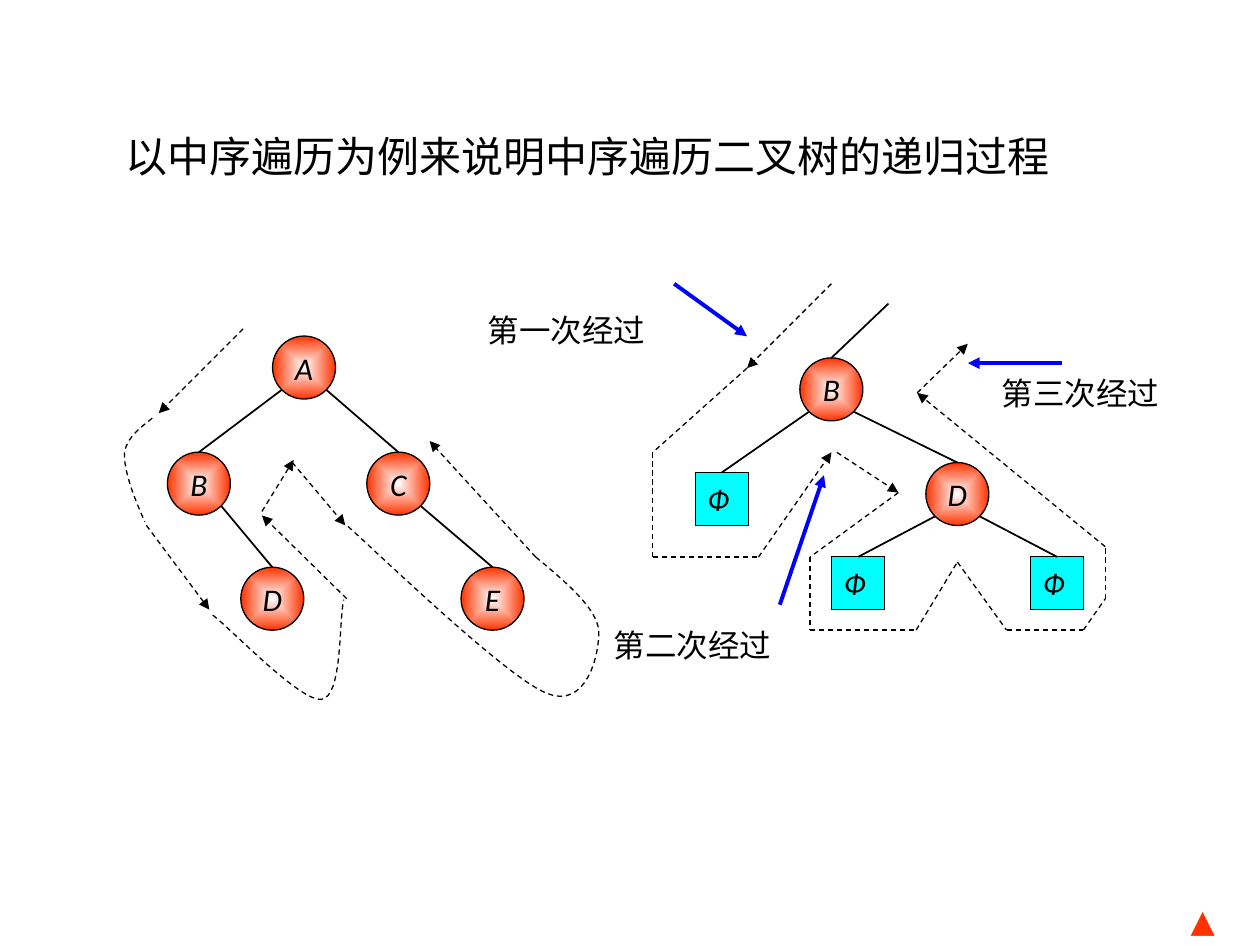
from dataclasses import dataclass
from itertools import pairwise
from math import sqrt

from lxml import etree
from pptx import Presentation
from pptx.dml.color import RGBColor
from pptx.enum.dml import MSO_LINE
from pptx.enum.shapes import MSO_CONNECTOR, MSO_SHAPE
from pptx.enum.text import MSO_ANCHOR, PP_ALIGN
from pptx.oxml.ns import qn
from pptx.util import Cm, Pt

STRAIGHT = MSO_CONNECTOR.STRAIGHT
OVAL = MSO_SHAPE.OVAL
RECTANGLE = MSO_SHAPE.RECTANGLE
DASH = MSO_LINE.DASH
MIDDLE = MSO_ANCHOR.MIDDLE
CENTER = PP_ALIGN.CENTER


@dataclass(frozen=True)
class Theme:
    """Colours, type sizes, line widths and node sizes."""

    font: str = "Calibri"
    title_size: int = 24
    text_size: int = 18
    ink: RGBColor = RGBColor(0, 0, 0)
    glow: RGBColor = RGBColor(255, 255, 255)
    red: RGBColor = RGBColor(255, 51, 0)
    cyan: RGBColor = RGBColor(0, 255, 255)
    blue: RGBColor = RGBColor(0, 0, 255)
    thin: float = 0.75
    edge: float = 1
    pointer: float = 2.25
    circle: float = 1.27
    square: float = 1.07


THEME = Theme()

LEFT_NODES = {
    "A": (6.13, 7.41), "B": (4.01, 9.75), "C": (8.03, 9.75),
    "D": (5.49, 12.07), "E": (9.93, 12.07),
}
LEFT_EDGES = [("A", "B", -1), ("A", "C", 1), ("B", "D", 1), ("C", "E", 1)]
RIGHT_NODES = {"B": (16.76, 7.85), "D": (19.3, 9.96)}
EMPTY_TREES = [("B", -1, (14.55, 10.06)), ("D", -1, (17.3, 11.76)), ("D", 1, (21.31, 11.76))]
RIGHT_ROOT_START = (17.91, 6.12)

LEFT_WALK = [
    [(4.9, 6.63), (3.2, 8.33)],
    [(2.95, 10.59), (4.22, 12.29)],
    [(6.99, 12.07), (5.28, 10.39)],
    [(5.28, 10.31), (5.92, 9.27)],
    [(5.89, 9.32), (6.96, 10.59)],
    [(10.8, 11.23), (8.66, 8.89)],
]
LEFT_TURNS = [
    [(3.07, 8.43), (2.97, 8.53), (2.57, 8.76), (2.51, 9.12),
     (2.49, 9.47), (2.69, 10.01), (2.92, 10.52)],
    [(4.29, 12.4), (4.65, 12.67), (6.05, 14.15), (6.48, 14.1),
     (6.91, 14.05), (6.83, 12.52), (6.93, 12.09)],
    [(10.8, 11.23), (11.4, 11.73), (12.01, 12.24), (12.07, 12.7),
     (12.09, 13.16), (11.84, 14.33), (11, 13.97),
     (10.16, 13.61), (7.65, 11.18), (6.99, 10.59)],
]
RIGHT_WALK = [
    [(16.76, 5.72), (15.06, 7.42)],
    [(15.06, 7.42), (13.16, 9.12), (13.16, 11.23), (15.29, 11.23), (16.76, 9.12)],
    [(16.87, 9.12), (18.11, 9.93)],
    [(18.11, 9.93), (16.33, 11.23), (16.33, 12.7), (18.47, 12.7), (19.3, 11.33),
     (20.29, 12.7), (21.84, 12.7), (22.28, 12.07), (22.28, 11.02), (18.49, 7.92)],
    [(18.49, 7.92), (19.51, 6.93)],
]
PASSES = [
    ("第一次经过", (9.58, 6.15, 5.66, 1.27), (13.59, 5.72), (15.06, 6.78)),
    ("第二次经过", (12.12, 12.5, 5.38, 1.27), (15.72, 12.19), (16.61, 9.58)),
    ("第三次经过", (19.94, 7.42, 5.13, 1.27), (21.41, 7.32), (19.51, 7.32)),
]


def set_text(shape, text, size, color=THEME.ink, italic=False):
    """Write one formatted paragraph and return it."""
    paragraph = shape.text_frame.paragraphs[0]
    paragraph.text = text
    font = paragraph.runs[0].font
    font.name, font.size, font.italic = THEME.font, Pt(size), italic
    font.color.rgb = color
    return paragraph


def add_label(slide, text, box, size=THEME.text_size, color=THEME.ink, wrap=True):
    """Add a text box and return its paragraph."""
    shape = slide.shapes.add_textbox(*map(Cm, box))
    shape.text_frame.word_wrap = wrap
    return set_text(shape, text, size, color)


def style_line(line, color, width, dashed=False):
    """Set the colour, width and dash of a line."""
    line.color.rgb = color
    line.width = Pt(width)
    if dashed:
        line.dash_style = DASH


def add_line(slide, start, end, color=THEME.ink, width=THEME.thin, dashed=False, arrow=False):
    """Add a straight connector, with an arrowhead at its end if asked."""
    connector = slide.shapes.add_connector(STRAIGHT, *map(Cm, (*start, *end)))
    style_line(connector.line, color, width, dashed)
    if arrow:
        etree.SubElement(connector.line._get_or_add_ln(), qn("a:tailEnd"), type="triangle")
    etree.SubElement(connector._element.spPr, qn("a:effectLst"))
    return connector


def add_walk(slide, points):
    """Draw a dashed route whose last segment carries the arrowhead."""
    segments = list(pairwise(points))
    for number, (start, end) in enumerate(segments, 1):
        add_line(slide, start, end, dashed=True, arrow=number == len(segments))


def bezier_points(controls, steps=16):
    """Sample a chain of cubic Bézier curves."""
    points = [controls[0]]
    for first in range(0, len(controls) - 1, 3):
        curve = controls[first:first + 4]
        for step in range(1, steps + 1):
            t = step / steps
            weights = ((1 - t) ** 3, 3 * t * (1 - t) ** 2, 3 * t * t * (1 - t), t ** 3)
            points.append(tuple(sum(w * p[axis] for w, p in zip(weights, curve)) for axis in (0, 1)))
    return points


def add_turn(slide, controls):
    """Draw a dashed curved turn."""
    points = [(Cm(x), Cm(y)) for x, y in bezier_points(controls)]
    builder = slide.shapes.build_freeform(*points[0])
    builder.add_line_segments(points[1:], close=False)
    shape = builder.convert_to_shape()
    shape.shadow.inherit = False
    shape.fill.background()
    style_line(shape.line, THEME.ink, THEME.thin, dashed=True)


def add_node(slide, kind, center, size, text):
    """Add an outlined node with centred italic text."""
    x, y = center
    shape = slide.shapes.add_shape(kind, Cm(x - size / 2), Cm(y - size / 2), Cm(size), Cm(size))
    shape.shadow.inherit = False
    style_line(shape.line, THEME.ink, THEME.thin)
    shape.text_frame.word_wrap = False
    shape.text_frame.vertical_anchor = MIDDLE
    set_text(shape, text, THEME.text_size, italic=True).alignment = CENTER
    return shape


def add_circle(slide, center, text):
    """Add a tree node with a glow from its centre."""
    shape = add_node(slide, OVAL, center, THEME.circle, text)
    shape.fill.gradient()
    for stop, color in zip(shape.fill.gradient_stops, (THEME.glow, THEME.red)):
        stop.color.rgb = color
    gradient = shape._element.spPr.find(qn("a:gradFill"))
    gradient.remove(gradient.find(qn("a:lin")))
    glow = etree.SubElement(gradient, qn("a:path"), path="shape")
    etree.SubElement(glow, qn("a:fillToRect"), dict.fromkeys("ltrb", "50000"))
    return shape


def add_empty_tree(slide, center):
    """Add a square that stands for an empty subtree."""
    shape = add_node(slide, RECTANGLE, center, THEME.square, "Ф ")
    shape.fill.solid()
    shape.fill.fore_color.rgb = THEME.cyan
    return shape


def add_edge(slide, center, side, child):
    """Join the lower left (-1) or right (1) of a circle to the top of a child."""
    offset = THEME.circle / 2 / sqrt(2)
    start = (center[0] + side * offset, center[1] + offset)
    add_line(slide, start, start, width=THEME.edge).end_connect(child, 0)


def add_left_tree(slide):
    """Draw the whole tree and the route around it."""
    circles = {name: add_circle(slide, center, name) for name, center in LEFT_NODES.items()}
    for parent, child, side in LEFT_EDGES:
        add_edge(slide, LEFT_NODES[parent], side, circles[child])
    for points in LEFT_WALK:
        add_walk(slide, points)
    for controls in LEFT_TURNS:
        add_turn(slide, controls)


def add_right_tree(slide):
    """Draw the subtree with empty children and the route around it."""
    for points in RIGHT_WALK:
        add_walk(slide, points)
    circles = {name: add_circle(slide, center, name) for name, center in RIGHT_NODES.items()}
    add_line(slide, RIGHT_ROOT_START, RIGHT_ROOT_START, width=THEME.edge).end_connect(circles["B"], 0)
    add_edge(slide, RIGHT_NODES["B"], 1, circles["D"])
    for parent, side, center in EMPTY_TREES:
        add_edge(slide, RIGHT_NODES[parent], side, add_empty_tree(slide, center))


def main():
    """Build the slide and save it."""
    presentation = Presentation()
    presentation.slide_width, presentation.slide_height = Cm(25.4), Cm(19.05)
    slide = presentation.slides.add_slide(presentation.slide_layouts[6])
    add_label(slide, "以中序遍历为例来说明中序遍历二叉树的递归过程", (2.29, 2.51, 20.6, 1.27), THEME.title_size)
    add_right_tree(slide)
    for text, box, start, end in PASSES:
        add_line(slide, start, end, THEME.blue, THEME.pointer, arrow=True)
        add_label(slide, text, box)
    add_left_tree(slide)
    marker = add_label(slide, "▲", (23.75, 18.36, 1.37, 0.76), color=THEME.red, wrap=False)
    marker.line_spacing = 0.5
    presentation.save("out.pptx")


if __name__ == "__main__":
    main()
